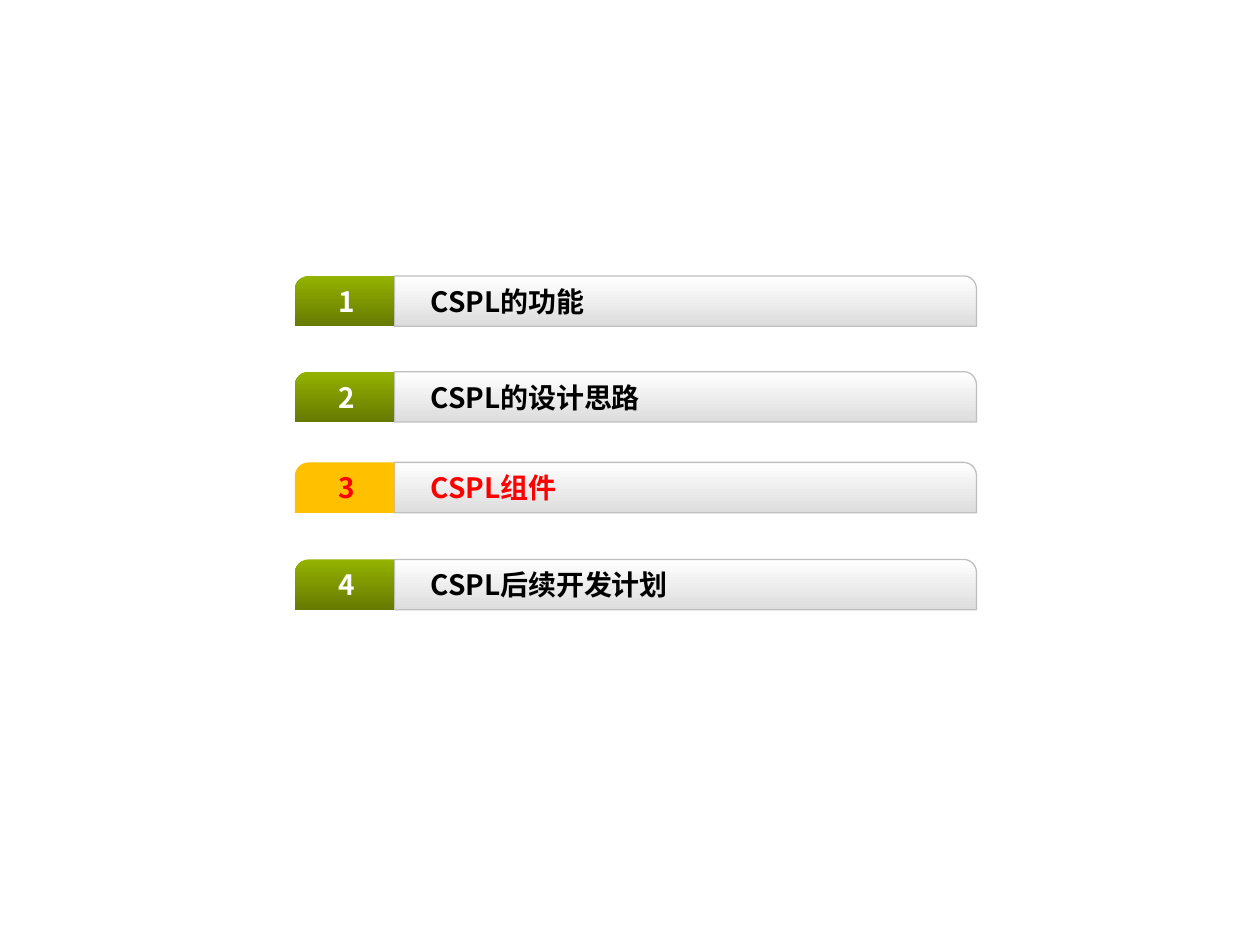
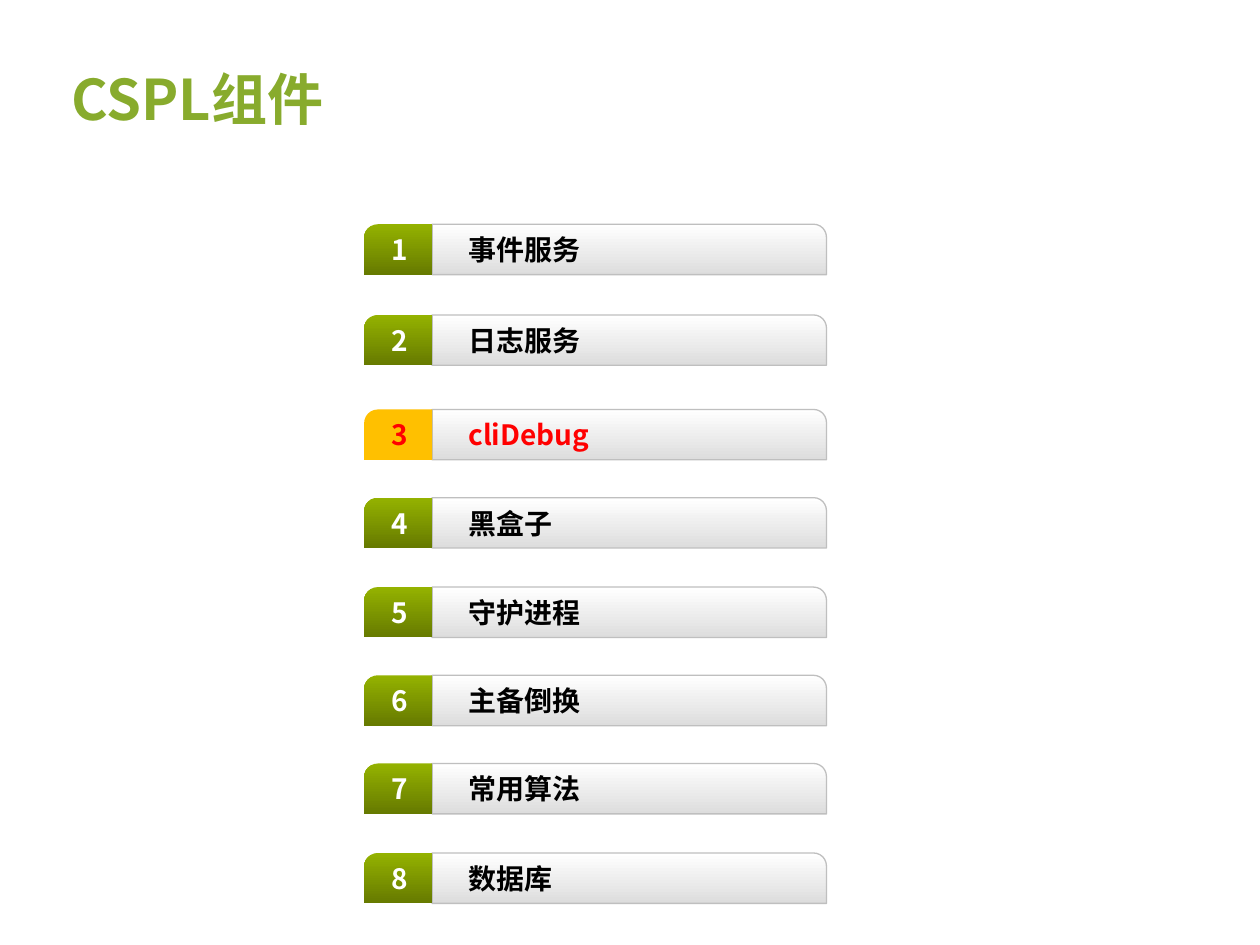
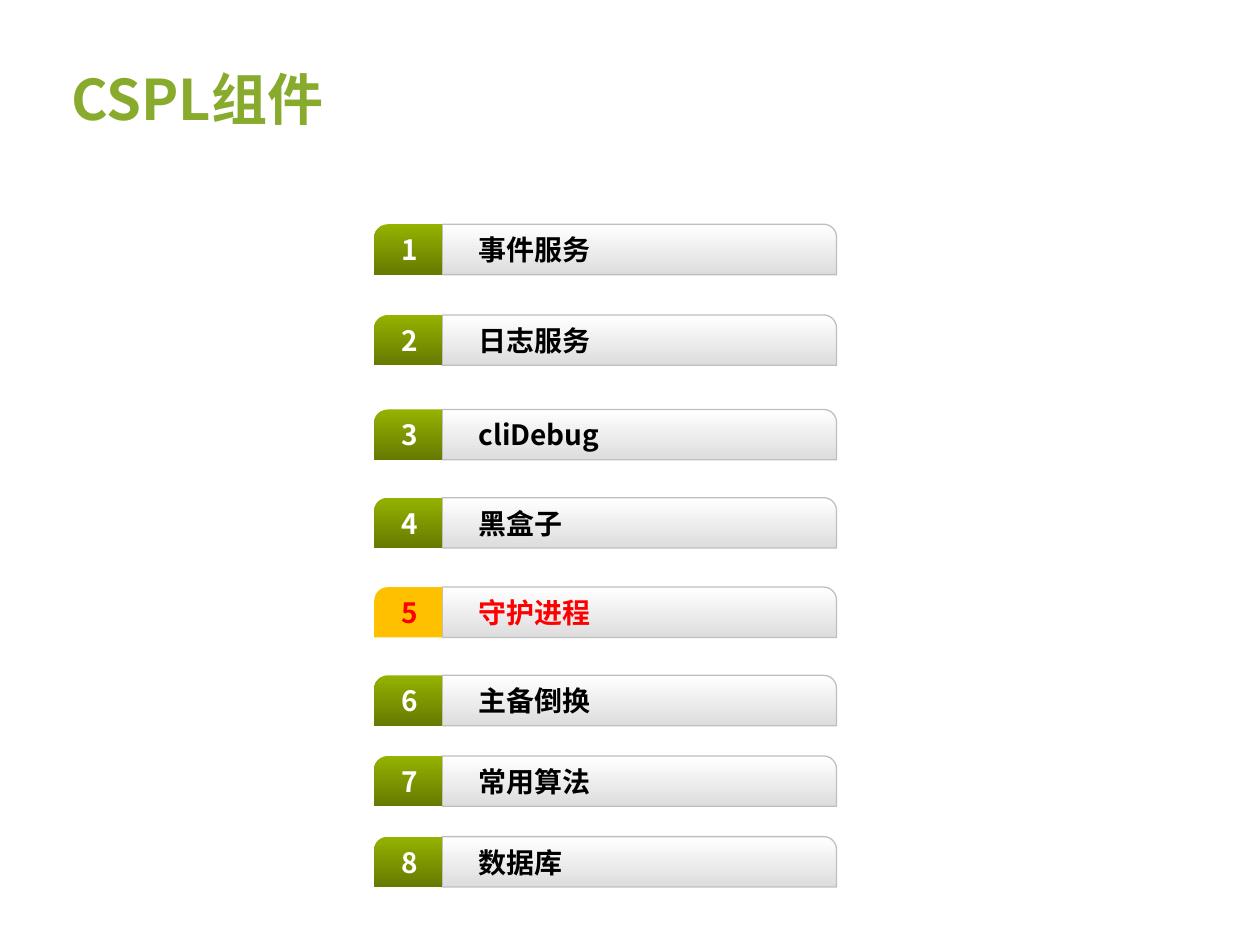
from lxml.etree import SubElement
from pptx import Presentation
from pptx.dml.color import RGBColor
from pptx.enum.shapes import MSO_SHAPE
from pptx.enum.text import MSO_ANCHOR, PP_ALIGN
from pptx.oxml.ns import qn
from pptx.util import Inches, Pt

FONT = "Noto Sans CJK SC"
WHITE = RGBColor(0xFF, 0xFF, 0xFF)
BLACK = RGBColor(0x00, 0x00, 0x00)
RED = RGBColor(0xFF, 0x00, 0x00)
AMBER = RGBColor(0xFF, 0xC0, 0x00)
TITLE_GREEN = RGBColor(0x88, 0xAB, 0x2D)
BORDER_GRAY = RGBColor(0xBF, 0xBF, 0xBF)
GREEN_FADE = (RGBColor(0x94, 0xB2, 0x00), RGBColor(0x66, 0x7A, 0x00))
GRAY_FADE = (WHITE, RGBColor(0xDD, 0xDD, 0xDD))

ROW_HEIGHT = 0.4
CHAPTERS = ["CSPL的功能", "CSPL的设计思路", "CSPL组件", "CSPL后续开发计划"]
COMPONENTS = ["事件服务", "日志服务", "cliDebug", "黑盒子",
              "守护进程", "主备倒换", "常用算法", "数据库"]
COMPONENT_TOPS = [1.78, 2.5, 3.25, 3.95, 4.66, 5.36]
COMPONENT_LAYOUT = {"title": "CSPL组件", "items": COMPONENTS,
                    "tab_width": 0.54, "bar_width": 3.13}

AGENDAS = [
    {"title": None, "items": CHAPTERS, "current": 3, "left": 2.34,
     "tab_width": 0.79, "bar_width": 4.62, "tops": [2.19, 2.95, 3.67, 4.44]},
    {**COMPONENT_LAYOUT, "current": 3, "left": 2.89,
     "tops": COMPONENT_TOPS + [6.06, 6.77]},
    {**COMPONENT_LAYOUT, "current": 5, "left": 2.97,
     "tops": COMPONENT_TOPS + [6.0, 6.64]},
]


def write_text(box, text, size, color, align=PP_ALIGN.LEFT, indent=0):
    frame = box.text_frame
    frame.word_wrap = True
    frame.vertical_anchor = MSO_ANCHOR.MIDDLE
    para = frame.paragraphs[0]
    para.alignment = align
    if indent:
        properties = para._p.get_or_add_pPr()
        properties.set("marL", str(Inches(indent)))
        properties.set("indent", "0")
    span = para.add_run()
    span.text = text
    for name, value in {"name": FONT, "size": Pt(size), "bold": True}.items():
        setattr(span.font, name, value)
    span.font.color.rgb = color
    SubElement(span._r.get_or_add_rPr(), qn("a:ea")).set("typeface", FONT)


def fade(fill, colors):
    fill.gradient()
    fill.gradient_angle = 270
    for stop, color in zip(fill.gradient_stops, colors):
        stop.color.rgb = color


def add_rounded(page, left, top, width, corner):
    shape = page.shapes.add_shape(
        MSO_SHAPE.ROUND_1_RECTANGLE,
        Inches(left), Inches(top), Inches(width), Inches(ROW_HEIGHT))
    shape.shadow.inherit = False
    shape.adjustments[0] = corner
    return shape


def add_row(page, agenda, number, text, top):
    current = number == agenda["current"]
    left, tab_width = agenda["left"], agenda["tab_width"]

    bar = add_rounded(page, left + tab_width, top, agenda["bar_width"], 0.255)
    fade(bar.fill, GRAY_FADE)
    bar.line.color.rgb = BORDER_GRAY
    bar.line.width = Pt(0.75)
    write_text(bar, text, 16, RED if current else BLACK, indent=0.19)

    tab = add_rounded(page, left, top, tab_width, 0.271)
    tab._element.spPr.find(qn("a:xfrm")).set("flipH", "1")
    tab.line.fill.background()
    if current:
        tab.fill.solid()
        tab.fill.fore_color.rgb = AMBER
    else:
        fade(tab.fill, GREEN_FADE)
    write_text(tab, str(number), 16, RED if current else WHITE, PP_ALIGN.CENTER)


def add_title(page, text):
    box = page.shapes.add_textbox(Inches(0.47), Inches(0.47), Inches(6.48), Inches(0.62))
    write_text(box, text, 32, TITLE_GREEN)


def main():
    deck = Presentation()
    deck.slide_width, deck.slide_height = Inches(10), Inches(7.5)
    for agenda in AGENDAS:
        page = deck.slides.add_slide(deck.slide_layouts[6])
        if agenda["title"]:
            add_title(page, agenda["title"])
        for number, (text, top) in enumerate(zip(agenda["items"], agenda["tops"]), 1):
            add_row(page, agenda, number, text, top)
    deck.save("out.pptx")


if __name__ == "__main__":
    main()
